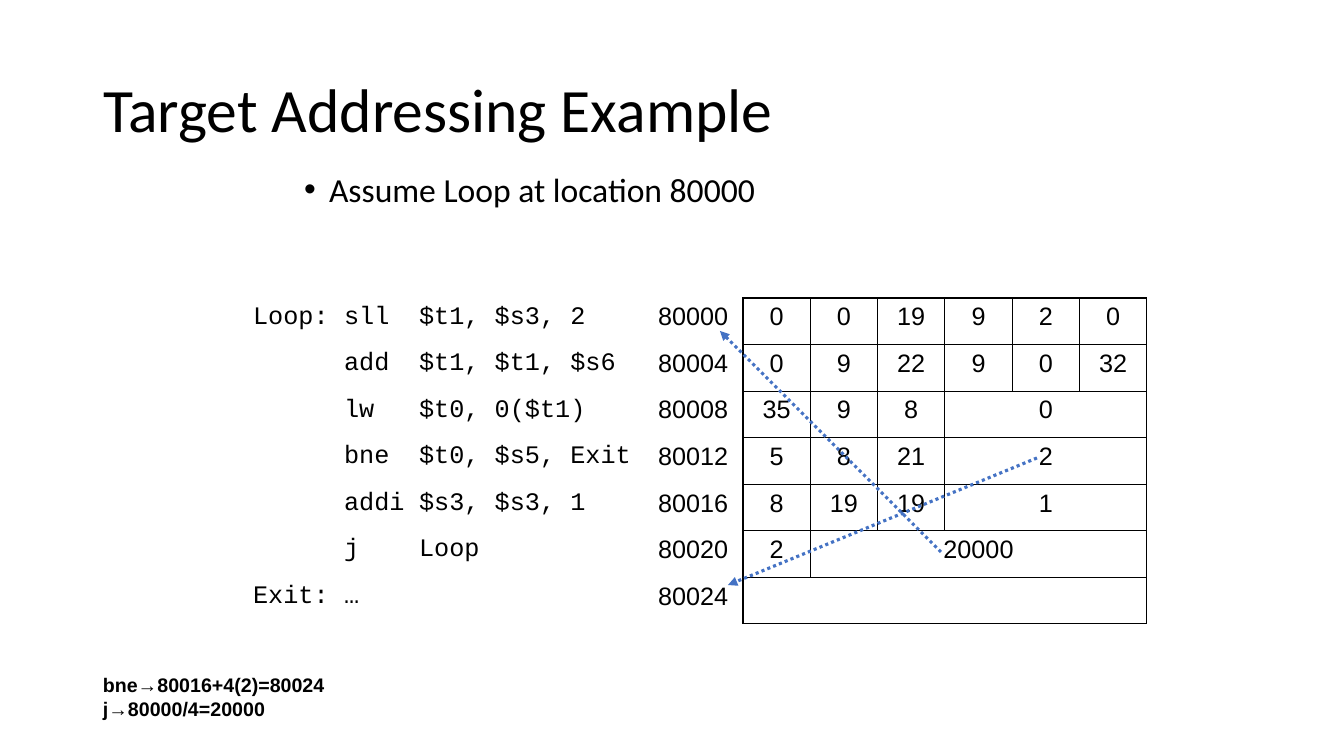
from dataclasses import dataclass
from lxml import etree
from pptx import Presentation, util as u
from pptx.dml.color import RGBColor
from pptx.enum import dml, shapes, text
from pptx.oxml import ns

PX = 914400 / 100.8  # EMU in one pixel


@dataclass(frozen=True)
class Theme:
    ink: str = "000000"
    paper: str = "FFFFFF"
    accent: str = "4472C4"
    heading: str = "Calibri"
    sans: str = "Arial"
    mono: str = "Courier New"
    title: int = 44
    bullet: int = 24
    cell: int = 18
    note: int = 14


THEME = Theme()

# Assembly line, its address, and its machine fields as (value, columns spanned)
PROGRAM = [
    ("Loop:\tsll\t$t1, $s3, 2", "80000",
     [("0", 1), ("0", 1), ("19", 1), ("9", 1), ("2", 1), ("0", 1)]),
    ("\tadd\t$t1, $t1, $s6", "80004",
     [("0", 1), ("9", 1), ("22", 1), ("9", 1), ("0", 1), ("32", 1)]),
    ("\tlw\t$t0, 0($t1)", "80008", [("35", 1), ("9", 1), ("8", 1), ("0", 3)]),
    ("\tbne\t$t0, $s5, Exit", "80012", [("5", 1), ("8", 1), ("21", 1), ("2", 3)]),
    ("\taddi\t$s3, $s3, 1", "80016", [("8", 1), ("19", 1), ("19", 1), ("1", 3)]),
    ("\tj\tLoop", "80020", [("2", 1), ("20000", 5)]),
    ("Exit:\t…", "80024", [("", 6)]),
]


def px(length):
    return u.Emu(round(length * PX))


def add_xml(parent, tag, **attributes):
    return etree.SubElement(parent, ns.qn(tag), {k: str(v) for k, v in attributes.items()})


def write(paragraph, words, font, size, bold=False):
    run = paragraph.add_run()
    run.text = words
    run.font.name, run.font.size, run.font.bold = font, u.Pt(size), bold
    run.font.color.rgb = RGBColor.from_string(THEME.ink)


def place(shape, box):
    shape.left, shape.top, shape.width, shape.height = map(px, box)
    frame = shape.text_frame
    frame.word_wrap = True
    frame.auto_size = text.MSO_AUTO_SIZE.NONE
    return frame


def add_title(slide, box):
    frame = place(slide.shapes.title, box)
    frame.vertical_anchor = text.MSO_ANCHOR.MIDDLE
    heading = frame.paragraphs[0]
    heading.alignment = text.PP_ALIGN.LEFT
    heading.line_spacing = 0.9
    write(heading, "Target Addressing Example", THEME.heading, THEME.title)


def add_assumption(slide, box):
    frame = place(slide.placeholders[1], box)
    frame.vertical_anchor = text.MSO_ANCHOR.TOP
    frame.margin_top = px(49)
    assumption = frame.paragraphs[0]
    assumption.level = 1
    assumption.line_spacing = 0.9
    assumption.space_before = u.Pt(0)
    properties = assumption._p.get_or_add_pPr()
    properties.set("marL", str(px(76)))
    properties.set("indent", str(px(-25)))
    add_xml(properties, "a:buFont", typeface=THEME.sans)
    add_xml(properties, "a:buChar", char="•")
    write(assumption, "Assume Loop at location 80000", THEME.heading, THEME.bullet)


def set_borders(cell, left, right, top, bottom):
    properties = cell._tc.get_or_add_tcPr()
    sides = {"a:lnL": left, "a:lnR": right, "a:lnT": top, "a:lnB": bottom}
    for position, (side, colour) in enumerate(sides.items()):
        line = add_xml(properties, side, w=u.Pt(1))
        add_xml(add_xml(line, "a:solidFill"), "a:srgbClr", val=colour)
        properties.insert(position, line)


def fill_cell(cell, words, font, centred=False, tabs=()):
    paragraph = cell.text_frame.paragraphs[0]
    paragraph.alignment = text.PP_ALIGN.CENTER if centred else text.PP_ALIGN.LEFT
    properties = paragraph._p.get_or_add_pPr()
    add_xml(add_xml(properties, "a:spcBef"), "a:spcPct", val=20000)
    if tabs:
        stops = add_xml(properties, "a:tabLst")
        for stop in tabs:
            add_xml(stops, "a:tab", pos=px(stop), algn="l")
    if words:
        write(paragraph, words, font, THEME.cell)


def add_program(slide, box):
    code_width, address_width, field_count = 405, 95, 6
    field_width = (box[2] - code_width - address_width) / field_count
    table = slide.shapes.add_table(len(PROGRAM), 2 + field_count, *map(px, box)).table
    table.first_row = table.horz_banding = False
    for column, width in zip(table.columns, [code_width, address_width] + [field_width] * field_count):
        column.width = px(width)

    for r, (code, address, fields) in enumerate(PROGRAM):
        table.rows[r].height = px(box[3] / len(PROGRAM))
        for c in range(2 + field_count):
            cell = table.cell(r, c)
            cell.fill.background()
            edge = THEME.paper if c < 2 else THEME.ink
            set_borders(cell, edge, THEME.ink if c == 1 else edge, edge, edge)
        fill_cell(table.cell(r, 0), code, THEME.mono, tabs=(91, 166))
        fill_cell(table.cell(r, 1), address, THEME.sans)
        c = 2
        for value, span in fields:
            if span > 1:
                table.cell(r, c).merge(table.cell(r, c + span - 1))
            fill_cell(table.cell(r, c), value, THEME.sans, centred=True)
            c += span


def add_jump(slide, box, start, end):
    ends = [px(box[i] + point[i]) for point in (start, end) for i in (0, 1)]
    jump = slide.shapes.add_connector(shapes.MSO_CONNECTOR.STRAIGHT, *ends)
    jump.line.color.rgb = RGBColor.from_string(THEME.accent)
    jump.line.width = u.Pt(2.25)
    jump.line.dash_style = dml.MSO_LINE.ROUND_DOT
    add_xml(jump.line._get_or_add_ln(), "a:tailEnd", type="triangle")
    add_xml(jump._element.spPr, "a:effectLst")


def add_arithmetic(slide, box):
    frame = place(slide.shapes.add_textbox(0, 0, 0, 0), box)
    frame.vertical_anchor = text.MSO_ANCHOR.MIDDLE
    write(frame.paragraphs[0], "bne→80016+4(2)=80024", THEME.sans, THEME.note, bold=True)
    write(frame.add_paragraph(), "j→80000/4=20000", THEME.sans, THEME.note, bold=True)


def build_slide(deck):
    slide = deck.slides.add_slide(deck.slide_layouts[1])
    add_arithmetic(slide, (93, 652, 537, 89))
    add_title(slide, (93, 40, 1206, 146))
    add_assumption(slide, (243, 124, 912, 135))
    program = (243, 298, 904, 326)
    add_program(slide, program)
    # Jump back to Loop, then branch ahead to Exit
    add_jump(slide, program, (698, 254), (477, 33))
    add_jump(slide, program, (794, 160), (485, 287))


deck = Presentation()
deck.slide_width, deck.slide_height = px(1344), px(756)
build_slide(deck)
deck.save("out.pptx")
